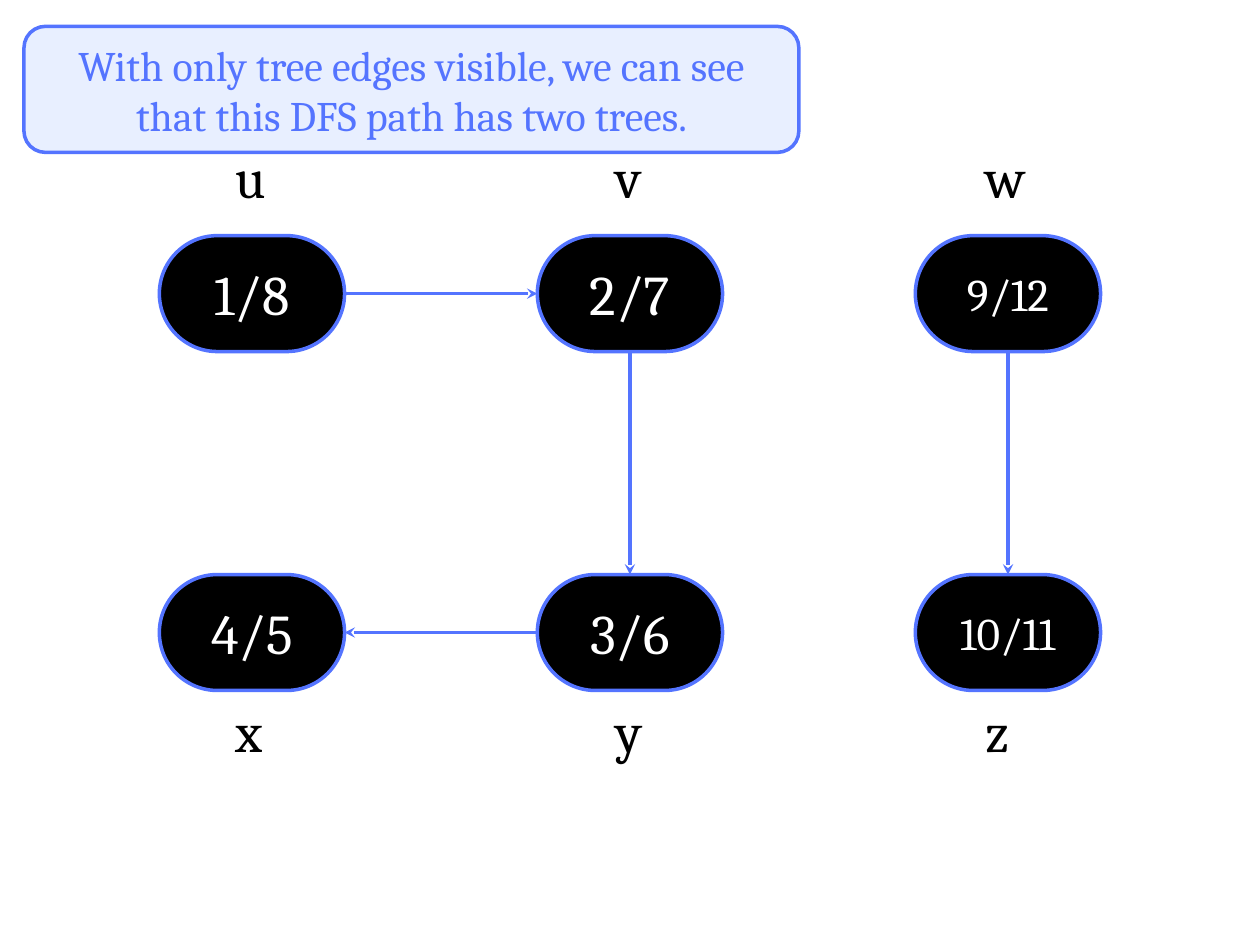
from dataclasses import dataclass

from pptx import Presentation
from pptx.dml.color import RGBColor as Color
from pptx.enum.shapes import MSO_CONNECTOR as Connector, MSO_SHAPE as Preset
from pptx.enum.text import MSO_ANCHOR as Anchor, MSO_AUTO_SIZE as AutoSize, PP_ALIGN as Align
from pptx.oxml.ns import qn
from pptx.util import Inches, Pt
from lxml.etree import SubElement


@dataclass(frozen=True)
class Theme:
    font: str = "Cambria"
    blue: Color = Color(0x54, 0x74, 0xFF)
    pale: Color = Color(0xE8, 0xEF, 0xFF)
    black: Color = Color(0, 0, 0)
    white: Color = Color(0xFF, 0xFF, 0xFF)
    large: Pt = Pt(32)
    medium: Pt = Pt(26)
    note: Pt = Pt(24)
    stroke: Pt = Pt(2)


THEME = Theme()
TOP, LEFT, BOTTOM, RIGHT = 0, 1, 2, 3  # connection sites
NODE_WIDTH, NODE_HEIGHT = 1.47, 0.92
LABEL_HEIGHT = 0.64
COLUMN_CENTRES = (2, 5, 8)
LABEL_LEFTS = (1.77, 4.79, 7.72)

# Each row: node top, label top, then (name, label width, discovery/finish times)
ROWS = (
    (1.87, 1.08, (("u", 0.47, "1/8"), ("v", 0.43, "2/7"), ("w", 0.55, "9/12"))),
    (4.56, 5.48, (("x", 0.44, "4/5"), ("y", 0.43, "3/6"), ("z", 0.41, "10/11"))),
)
TREE_EDGES = (
    ("u", RIGHT, "v", LEFT),
    ("v", BOTTOM, "y", TOP),
    ("y", LEFT, "x", RIGHT),
    ("w", BOTTOM, "z", TOP),
)


def write(shape, text, size, color, align=Align.CENTER):
    para = shape.text_frame.paragraphs[0]
    para.alignment = align
    span = para.add_run()
    span.text = text
    span.font.name = THEME.font
    span.font.size = size
    span.font.color.rgb = color


def add_panel(page, preset, box, fill, adjustments):
    """Outlined shape with vertically centred text."""
    panel = page.shapes.add_shape(preset, *map(Inches, box))
    panel.shadow.inherit = False
    for index, value in enumerate(adjustments):
        panel.adjustments[index] = value
    panel.fill.solid()
    panel.fill.fore_color.rgb = fill
    panel.line.color.rgb = THEME.blue
    panel.line.width = THEME.stroke
    panel.text_frame.word_wrap = True
    panel.text_frame.vertical_anchor = Anchor.MIDDLE
    return panel


def add_node(page, box, times):
    node = add_panel(page, Preset.ROUNDED_RECTANGLE, box, THEME.black, (0.5,))
    size = THEME.large if len(times) == 3 else THEME.medium
    write(node, times, size, THEME.white)
    return node


def add_label(page, box, name):
    label = page.shapes.add_textbox(*map(Inches, box))
    label.text_frame.word_wrap = False
    label.text_frame.auto_size = AutoSize.SHAPE_TO_FIT_TEXT
    write(label, name, THEME.large, THEME.black, Align.LEFT)


def add_edge(page, start, start_site, end, end_site):
    edge = page.shapes.add_connector(Connector.STRAIGHT, 0, 0, 0, 0)
    edge.begin_connect(start, start_site)
    edge.end_connect(end, end_site)
    edge.line.color.rgb = THEME.blue
    edge.line.width = THEME.stroke
    SubElement(edge.line._get_or_add_ln(), qn("a:tailEnd"), type="stealth")
    SubElement(edge._element.spPr, qn("a:effectLst"))


def add_graph(page):
    """Depth-first search forest: nodes, names and tree edges."""
    nodes = {}
    for node_top, label_top, vertices in ROWS:
        for centre, label_left, vertex in zip(COLUMN_CENTRES, LABEL_LEFTS, vertices):
            name, label_width, times = vertex
            node_box = (centre - NODE_WIDTH / 2, node_top, NODE_WIDTH, NODE_HEIGHT)
            nodes[name] = add_node(page, node_box, times)
            add_label(page, (label_left, label_top, label_width, LABEL_HEIGHT), name)
    for start, start_site, end, end_site in TREE_EDGES:
        add_edge(page, nodes[start], start_site, nodes[end], end_site)


def add_note(page, box):
    """Callout explaining the forest."""
    note = add_panel(page, Preset.ROUNDED_RECTANGULAR_CALLOUT, box, THEME.pale,
                     (-0.5, 0.24, 0.17))
    write(note, "With only tree edges visible, we can see that this DFS path has two trees.",
          THEME.note, THEME.blue)


def main():
    deck = Presentation()
    deck.slide_width, deck.slide_height = Inches(10), Inches(7.5)
    page = deck.slides.add_slide(deck.slide_layouts[6])
    add_graph(page)
    add_note(page, (0.19, 0.21, 6.15, 1))
    deck.save("out.pptx")


if __name__ == "__main__":
    main()
